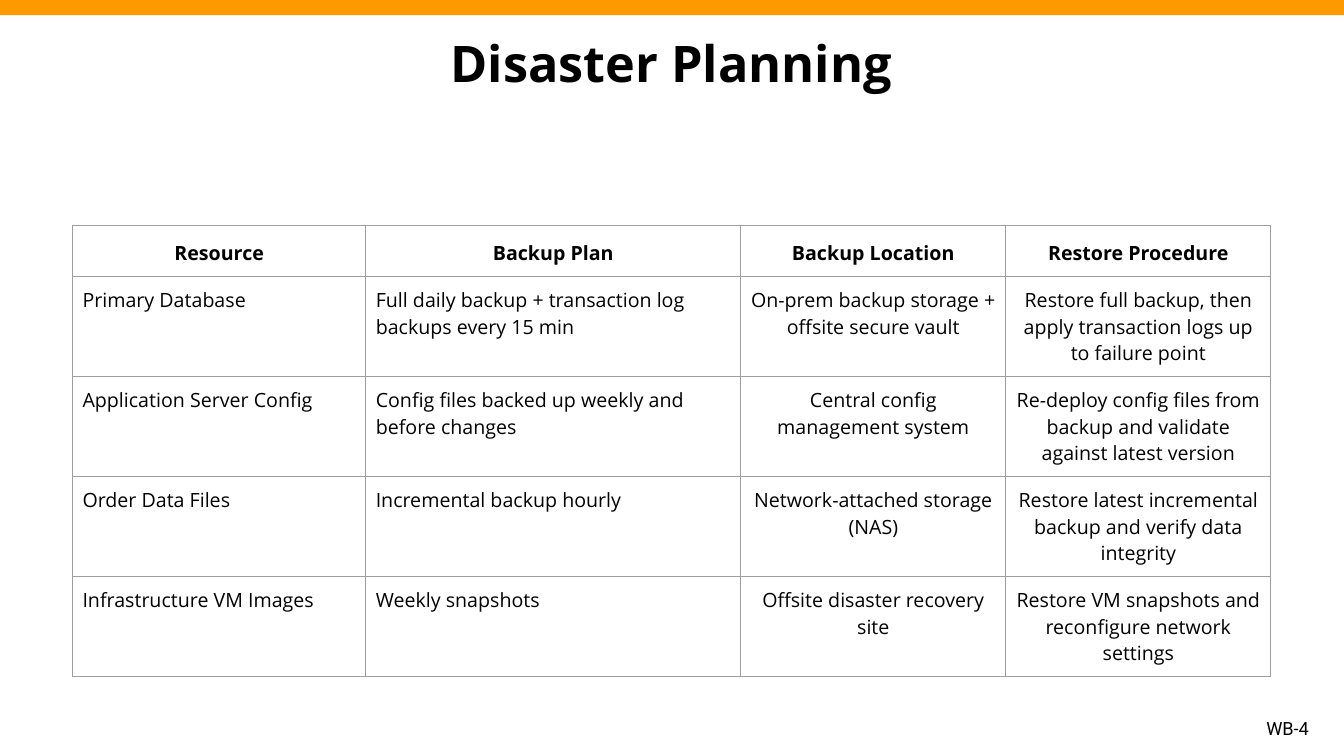
from lxml import etree
from pptx import Presentation
from pptx.dml.color import RGBColor
from pptx.enum import shapes, text
from pptx.oxml import ns
from pptx.util import Cm, Pt

TITLE = "Disaster Planning"
PAGE_LABEL = "WB-4"
HEADER = ("Resource", "Backup Plan", "Backup Location", "Restore Procedure")
PLANS = [
    ("Primary Database",
     "Full daily backup + transaction log backups every 15 min",
     "On-prem backup storage + offsite secure vault",
     "Restore full backup, then apply transaction logs up to failure point"),
    ("Application Server Config",
     "Config files backed up weekly and before changes",
     "Central config management system",
     "Re-deploy config files from backup and validate against latest version"),
    ("Order Data Files",
     "Incremental backup hourly",
     "Network-attached storage (NAS)",
     "Restore latest incremental backup and verify data integrity"),
    ("Infrastructure VM Images",
     "Weekly snapshots",
     "Offsite disaster recovery site",
     "Restore VM snapshots and reconfigure network settings"),
]
COLUMN_WIDTHS = (7.39, 9.45, 6.68, 6.68)
HEADER_HEIGHT, ROW_HEIGHT = 1.29, 2.52
CENTERED_FROM = 2  # first body column with centred text

ORANGE = RGBColor(0xFF, 0x99, 0x00)
BLACK = RGBColor(0x00, 0x00, 0x00)
GREY = RGBColor(0x9E, 0x9E, 0x9E)
FONT, LABEL_FONT = "Open Sans", "Roboto"
LEFT, CENTER = text.PP_ALIGN.LEFT, text.PP_ALIGN.CENTER
TOP, MIDDLE = text.MSO_ANCHOR.TOP, text.MSO_ANCHOR.MIDDLE


def set_margins(target, margin):
    target.margin_left = target.margin_right = margin
    target.margin_top = target.margin_bottom = margin


def format_paragraph(p, size, font=FONT, bold=False, align=CENTER, spacing=1.0):
    p.alignment = align
    p.line_spacing = spacing
    for r in p.runs:
        r.font.name, r.font.size, r.font.bold = font, Pt(size), bold
        r.font.color.rgb = BLACK


def set_borders(cell):
    tc_pr = cell._tc.get_or_add_tcPr()
    for side in ("lnL", "lnR", "lnT", "lnB"):
        ln = etree.SubElement(tc_pr, ns.qn("a:" + side), w=str(Pt(0.75)))
        fill = etree.SubElement(ln, ns.qn("a:solidFill"))
        etree.SubElement(fill, ns.qn("a:srgbClr"), val=str(GREY))


prs = Presentation()
prs.slide_width, prs.slide_height = Cm(33.87), Cm(19.05)
slide = prs.slides.add_slide(prs.slide_layouts[5])

# Top bar
bar = slide.shapes.add_shape(shapes.MSO_SHAPE.RECTANGLE,
                             0, Cm(-0.08), prs.slide_width, Cm(0.46))
bar.shadow.inherit = False
bar.fill.solid()
bar.fill.fore_color.rgb = ORANGE
bar.line.fill.background()

# Page label
label = slide.shapes.add_textbox(Cm(31.14), Cm(17.73), Cm(2.62), Cm(1.22))
tf = label.text_frame
tf.word_wrap = True
tf.vertical_anchor = MIDDLE
set_margins(tf, Cm(0.46))
tf.text = PAGE_LABEL
format_paragraph(tf.paragraphs[0], 13, LABEL_FONT)

# Title
title = slide.shapes.title
title.left, title.top, title.width, title.height = Cm(1.14), Cm(0.51), Cm(31.55), Cm(2.11)
tf = title.text_frame
tf.auto_size = text.MSO_AUTO_SIZE.NONE
tf.vertical_anchor = MIDDLE
set_margins(tf, Cm(0.25))
tf.text = TITLE
format_paragraph(tf.paragraphs[0], 36, bold=True)

# Backup table
rows = [HEADER] + PLANS
row_heights = [HEADER_HEIGHT] + [ROW_HEIGHT] * len(PLANS)
frame = slide.shapes.add_table(len(rows), len(HEADER), Cm(1.83), Cm(5.68),
                               Cm(sum(COLUMN_WIDTHS)), Cm(sum(row_heights)))
table = frame.table
table.first_row = table.horz_banding = False
for column, width in zip(table.columns, COLUMN_WIDTHS):
    column.width = Cm(width)
for row, height in zip(table.rows, row_heights):
    row.height = Cm(height)

for i, values in enumerate(rows):
    is_header = i == 0
    for j, value in enumerate(values):
        cell = table.cell(i, j)
        cell.text = value
        cell.vertical_anchor = TOP
        set_margins(cell, Cm(0.25))
        set_borders(cell)
        cell.fill.background()
        format_paragraph(cell.text_frame.paragraphs[0], 14, bold=is_header,
                         align=CENTER if is_header or j >= CENTERED_FROM else LEFT,
                         spacing=1.15 if is_header else 1.0)

prs.save("out.pptx")
